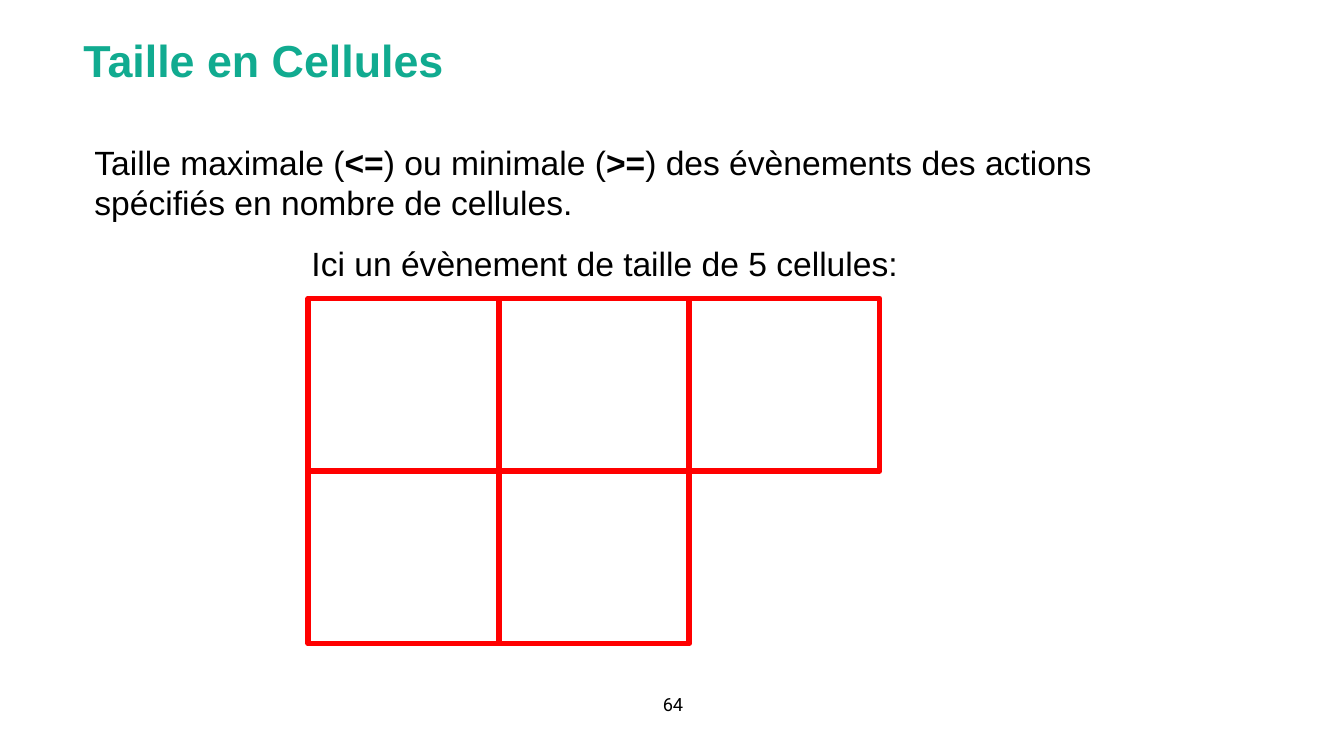
from dataclasses import dataclass

from pptx import Presentation
from pptx.dml.color import RGBColor
from pptx.enum.shapes import MSO_SHAPE as Shape
from pptx.enum.text import MSO_ANCHOR as Anchor, MSO_AUTO_SIZE as AutoSize, PP_ALIGN as Align
from pptx.util import Cm, Pt


@dataclass(frozen=True)
class Theme:
    title_color: RGBColor = RGBColor(0x11, 0xAB, 0x90)
    text_color: RGBColor = RGBColor(0, 0, 0)
    cell_fill: RGBColor = RGBColor(255, 255, 255)
    cell_line: RGBColor = RGBColor(255, 0, 0)
    line_width: Pt = Pt(4)
    title_size: Pt = Pt(32)
    body_size: Pt = Pt(24)
    number_size: Pt = Pt(13)
    font: str = "Arial"
    number_font: str = "Roboto"


THEME = Theme()


def write_runs(frame, runs, size, color=THEME.text_color, font=THEME.font,
               align=Align.LEFT, anchor=Anchor.TOP):
    frame.word_wrap = True
    frame.auto_size = AutoSize.NONE
    frame.vertical_anchor = anchor
    paragraph = frame.paragraphs[0]
    paragraph.alignment = align
    for words, bold in runs:
        run = paragraph.add_run()
        run.text = words
        run.font.name = font
        run.font.size = size
        run.font.bold = bold
        run.font.color.rgb = color


def add_title(slide, words):
    title = slide.shapes.title
    title.left, title.top, title.width, title.height = Cm(1.85), Cm(0.2), Cm(28.78), Cm(2.11)
    write_runs(title.text_frame, [(words, True)], THEME.title_size,
               THEME.title_color, anchor=Anchor.BOTTOM)


def add_text(slide, left, top, width, height, runs, size=THEME.body_size, **style):
    box = slide.shapes.add_textbox(Cm(left), Cm(top), Cm(width), Cm(height))
    write_runs(box.text_frame, runs, size, **style)


def add_cells(slide, left, top, width, height, cells_per_row):
    for row, count in enumerate(cells_per_row):
        for column in range(count):
            cell = slide.shapes.add_shape(
                Shape.RECTANGLE, Cm(left + column * width), Cm(top + row * height),
                Cm(width), Cm(height))
            cell.shadow.inherit = False
            cell.fill.solid()
            cell.fill.fore_color.rgb = THEME.cell_fill
            cell.line.color.rgb = THEME.cell_line
            cell.line.width = THEME.line_width


def main():
    deck = Presentation()
    deck.slide_width, deck.slide_height = Cm(33.87), Cm(19.05)
    slide = deck.slides.add_slide(deck.slide_layouts[5])

    add_title(slide, "Taille en Cellules")
    add_cells(slide, 7.77, 7.52, 4.8, 4.35, cells_per_row=(3, 2))
    add_text(slide, 2.13, 3.45, 29.08, 2.31, [
        ("Taille maximale (", False),
        ("<=", True),
        (") ou minimale (", False),
        (">=", True),
        (") des évènements des actions spécifiés en nombre de cellules.", False),
    ])
    add_text(slide, 7.6, 6, 29.08, 1.28,
             [("Ici un évènement de taille de 5 cellules:", False)])
    add_text(slide, 16.26, 17.32, 1.4, 0.84, [("64", False)], THEME.number_size,
             font=THEME.number_font, align=Align.CENTER, anchor=Anchor.MIDDLE)

    deck.save("out.pptx")


if __name__ == "__main__":
    main()
